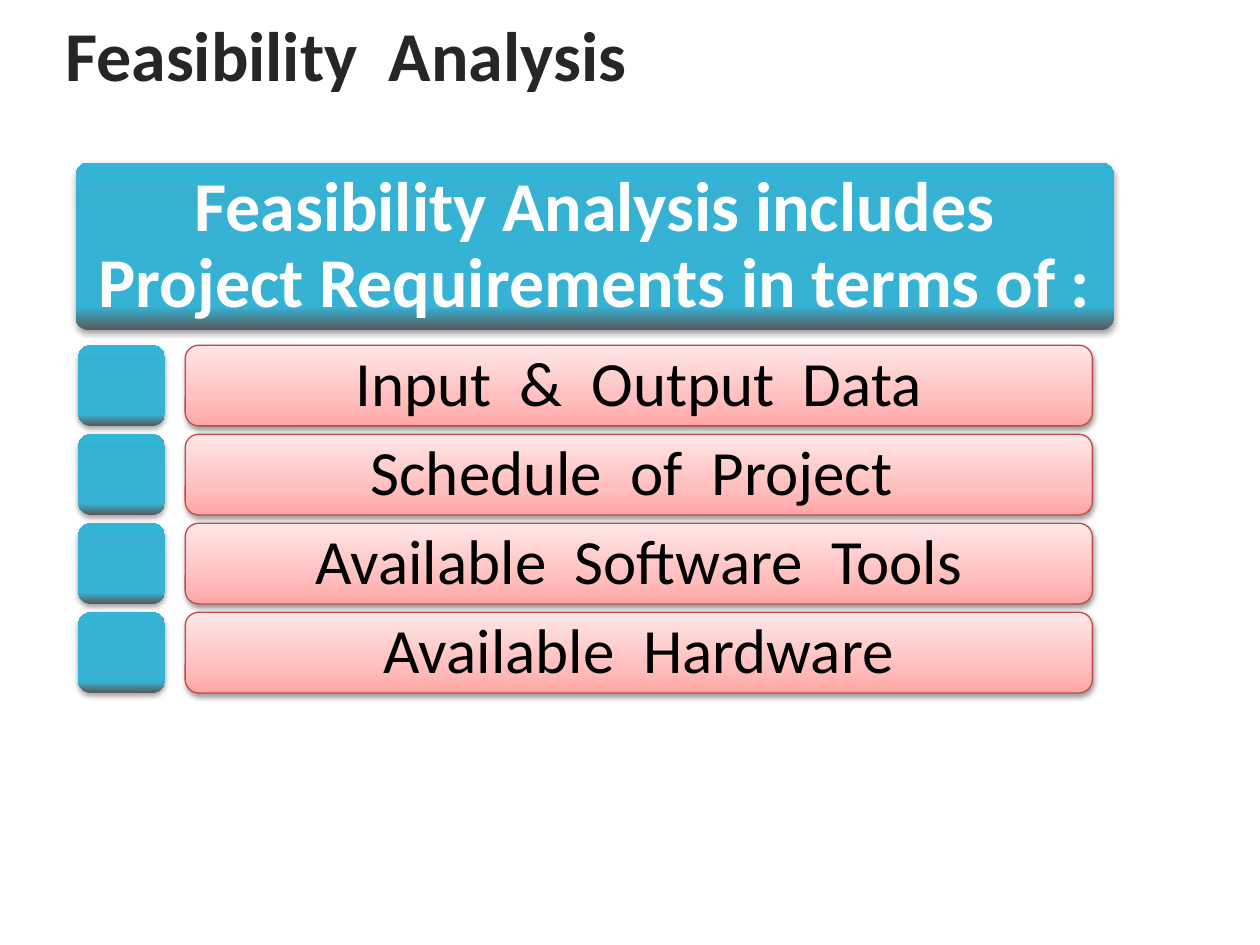
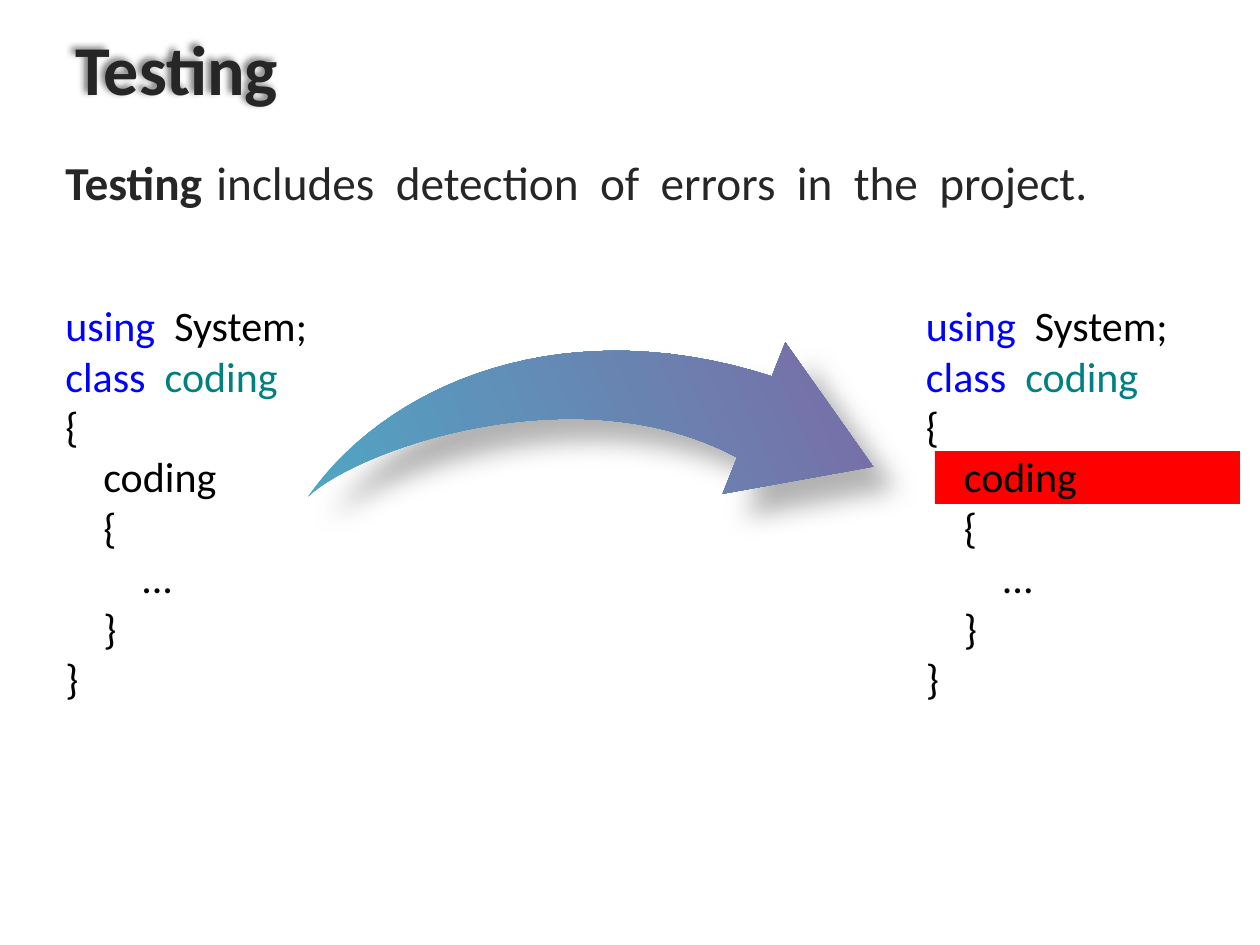
from dataclasses import dataclass

from pptx import Presentation, oxml
from pptx import util as u
from pptx.dml.color import RGBColor
from pptx.enum import shapes, text
from pptx.oxml import ns


@dataclass(frozen=True)
class Theme:
    font: str = "Calibri"
    ink: str = "262626"
    black: str = "000000"
    white: str = "FFFFFF"
    keyword: str = "0000FF"
    type_name: str = "008080"
    error: str = "FF0000"
    item_line: str = "BF4C48"
    teal: tuple = ((0, "595959"), (14, "35B2D4"), (73, "37B1D2"), (100, "34B4D6"))
    pink: tuple = ((0, "FFA6A5"), (35, "FFC0BF"), (100, "FFE7E7"))
    arrow: tuple = ((0, "4BACC6"), (100, "8064A2"))
    teal_shadow: tuple = (35, 3.1, 1.8, 90)
    pink_shadow: tuple = (38, 3.1, 1.6, 90)
    arrow_shadow: tuple = (30, 15, 18, 45)
    title_shadow: tuple = (50, 4, 3, 215)
    title_size: int = 40
    item_size: int = 36
    body_size: int = 27
    code_size: int = 24
    gap_size: int = 18


def bezier(start, control_1, control_2, end, steps=30):
    curve = []
    for step in range(1, steps + 1):
        t = step / steps
        weights = ((1 - t) ** 3, 3 * t * (1 - t) ** 2, 3 * t * t * (1 - t), t ** 3)
        points = (start, control_1, control_2, end)
        curve.append(tuple(sum(w * p[axis] for w, p in zip(weights, points)) for axis in (0, 1)))
    return curve


class Deck:
    """Hold the theme, the presentation and the current slide, and draw each kind of element."""

    def __init__(self, theme):
        self.theme = theme
        self.presentation = Presentation()
        self.presentation.slide_width = u.Inches(10)
        self.presentation.slide_height = u.Inches(7.5)
        self.slide = None

    def new_slide(self):
        self.slide = self.presentation.slides.add_slide(self.presentation.slide_layouts[6])

    def format_run(self, run, size, color, bold=False):
        run.font.name = self.theme.font
        run.font.size = u.Pt(size)
        run.font.bold = bold
        run.font.color.rgb = RGBColor.from_string(color)

    def gradient(self, shape, stops, angle):
        shape.fill.solid()
        stop_xml = "".join(
            f'<a:gs pos="{position * 1000}"><a:srgbClr val="{color}"/></a:gs>'
            for position, color in stops
        )
        gradient = oxml.parse_xml(
            f'<a:gradFill {ns.nsdecls("a")} rotWithShape="1"><a:gsLst>{stop_xml}</a:gsLst>'
            f'<a:lin ang="{angle * 60000}" scaled="0"/></a:gradFill>'
        )
        properties = shape.element.spPr
        properties.replace(properties.find(ns.qn("a:solidFill")), gradient)

    def cast_shadow(self, shape, shadow):
        opacity, blur, distance, angle = shadow
        shape.shadow.inherit = False
        effects = shape.element.spPr.find(ns.qn("a:effectLst"))
        effects.append(oxml.parse_xml(
            f'<a:outerShdw {ns.nsdecls("a")} blurRad="{u.Pt(blur)}" dist="{u.Pt(distance)}" '
            f'dir="{angle * 60000}" algn="ctr" rotWithShape="0">'
            f'<a:srgbClr val="{self.theme.black}"><a:alpha val="{opacity * 1000}"/></a:srgbClr>'
            "</a:outerShdw>"
        ))

    def text_box(self, left, top, width, height, lines):
        box = self.slide.shapes.add_textbox(*map(u.Inches, (left, top, width, height)))
        frame = box.text_frame
        frame.word_wrap = True
        frame.text = "\n".join("".join(part[0] for part in line) for line in lines)
        for paragraph, line in zip(frame.paragraphs, lines):
            paragraph.text = ""
            for words, *style in line:
                run = paragraph.add_run()
                run.text = words
                self.format_run(run, *style)
        return box

    def title(self, words, left, top):
        style = (self.theme.title_size, self.theme.ink, True)
        return self.text_box(left, top, 6, 0.77, [[(words, *style)]])

    def rounded_box(self, left, top, width, height, stops, shadow, corner=0.167, line=None):
        shape = self.slide.shapes.add_shape(
            shapes.MSO_SHAPE.ROUNDED_RECTANGLE, *map(u.Inches, (left, top, width, height)))
        shape.adjustments[0] = corner
        self.gradient(shape, stops, 270)
        if line:
            shape.line.color.rgb = RGBColor.from_string(line)
            shape.line.width = u.Pt(0.75)
        else:
            shape.line.fill.background()
        self.cast_shadow(shape, shadow)
        return shape

    def label(self, shape, words, size, color, bold=False):
        frame = shape.text_frame
        frame.word_wrap = True
        frame.vertical_anchor = text.MSO_ANCHOR.MIDDLE
        frame.margin_left = frame.margin_right = u.Inches(0.08)
        frame.margin_top = u.Inches(0.01)
        frame.margin_bottom = 0
        frame.text = words
        paragraph = frame.paragraphs[0]
        paragraph.alignment = text.PP_ALIGN.CENTER
        paragraph.line_spacing = 0.9
        self.format_run(paragraph.runs[0], size, color, bold)

    def highlight(self, left, top, width, height):
        bar = self.slide.shapes.add_shape(
            shapes.MSO_SHAPE.RECTANGLE, *map(u.Inches, (left, top, width, height)))
        bar.fill.solid()
        bar.fill.fore_color.rgb = RGBColor.from_string(self.theme.error)
        bar.line.fill.background()
        bar.shadow.inherit = False

    def curved_arrow(self):
        tail, neck_top, neck_bottom = (2.77, 4.78), (5.84, 2.54), (5.82, 3.24)
        outline = bezier(tail, (3.03, 3.7), (4.12, 2.65), neck_top)
        outline += [(5.84, 2.25), (6.85, 2.91), (5.82, 3.55), neck_bottom]
        outline += bezier(neck_bottom, (4.38, 3.07), (2.99, 4.3), tail)
        builder = self.slide.shapes.build_freeform(*map(u.Inches, tail))
        builder.add_line_segments([(u.Inches(x), u.Inches(y)) for x, y in outline], close=True)
        arrow = builder.convert_to_shape()
        arrow.rotation = 21.6
        self.gradient(arrow, self.theme.arrow, 315)
        arrow.line.fill.background()
        self.cast_shadow(arrow, self.theme.arrow_shadow)

    def code(self, left, top):
        theme = self.theme
        lines = [
            [("using", theme.keyword), ("  System;", theme.black)],
            [("class  ", theme.keyword), ("coding", theme.type_name)],
        ]
        plain = ("{", "    coding", "    {", "        ...", "    }", "}")
        lines += [[(words, theme.black)] for words in plain]
        sized = [[(words, theme.code_size, color) for words, color in line] for line in lines]
        self.text_box(left, top, 2.75, 3.33, sized)


def feasibility_slide(deck):
    theme = deck.theme
    deck.new_slide()
    deck.title("Feasibility  Analysis", 0.42, 0.04)
    header = deck.rounded_box(0.6, 1.29, 8.24, 1.33, theme.teal, theme.teal_shadow, corner=0.08)
    deck.label(header, "Feasibility Analysis includes Project Requirements in terms of :",
               theme.title_size, theme.white, True)
    requirements = ("Input  &  Output  Data", "Schedule  of  Project ",
                    "Available  Software  Tools", "Available  Hardware")
    first_top, last_top = 2.74, 4.86
    pitch = (last_top - first_top) / (len(requirements) - 1)
    for row, requirement in enumerate(requirements):
        top = first_top + pitch * row
        deck.rounded_box(0.62, top, 0.69, 0.64, theme.teal, theme.teal_shadow)
        item = deck.rounded_box(1.47, top, 7.2, 0.64, theme.pink, theme.pink_shadow,
                                line=theme.item_line)
        deck.label(item, requirement, theme.item_size, theme.black)


def testing_slide(deck):
    theme = deck.theme
    deck.new_slide()
    deck.highlight(7.42, 3.58, 2.42, 0.42)
    title = deck.title("Testing", 0.5, 0.15)
    deck.cast_shadow(title, theme.title_shadow)
    deck.text_box(0.42, 1.17, 8.75, 0.56, [[
        ("Testing", theme.body_size, theme.ink, True),
        ("  ", theme.gap_size, theme.ink),
        ("includes  detection  of  errors  in  the  project.", theme.body_size, theme.ink),
    ]])
    deck.curved_arrow()
    for left in (7.25, 0.42):
        deck.code(left, 2.33)


def main():
    deck = Deck(Theme())
    feasibility_slide(deck)
    testing_slide(deck)
    deck.presentation.save("out.pptx")


if __name__ == "__main__":
    main()
